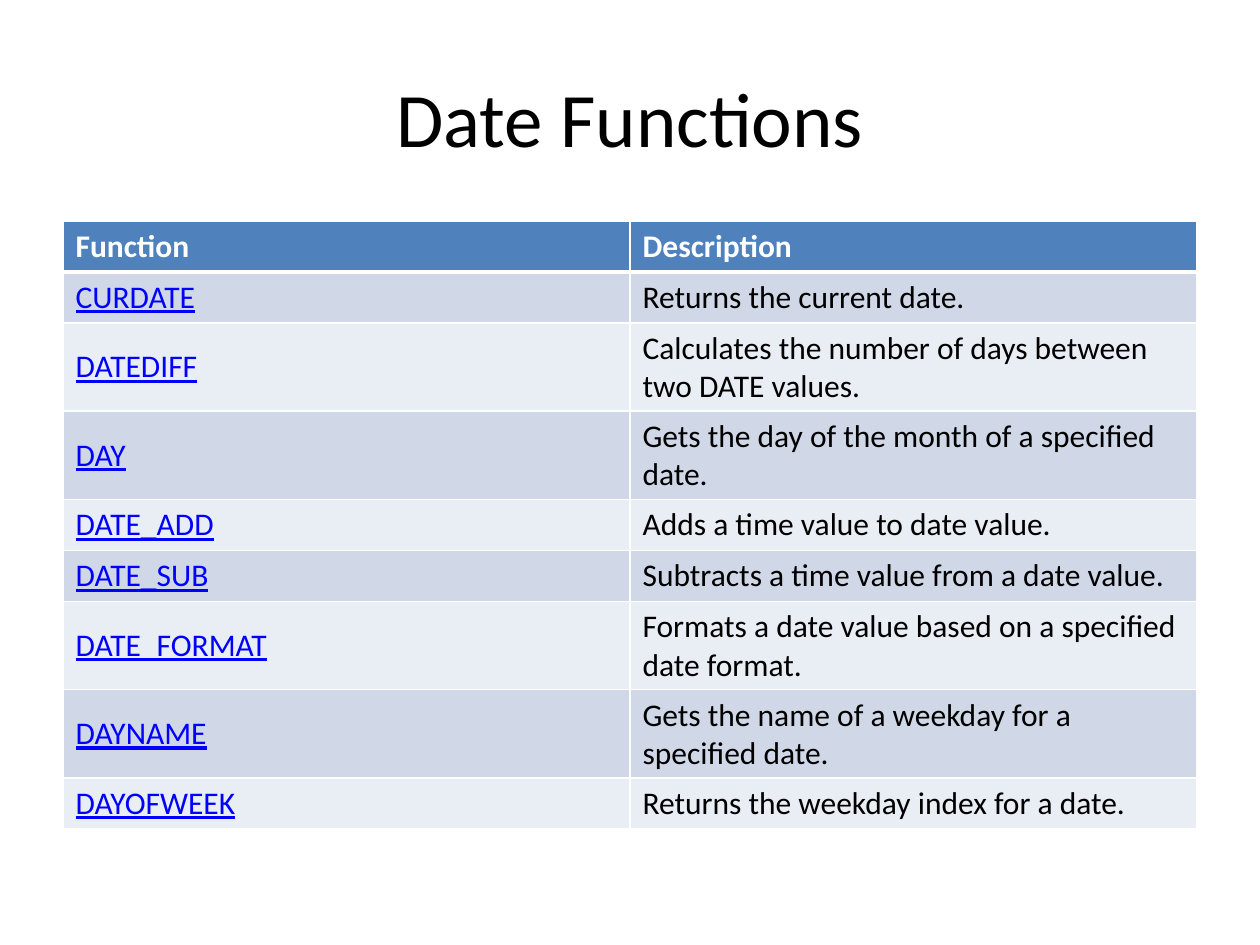
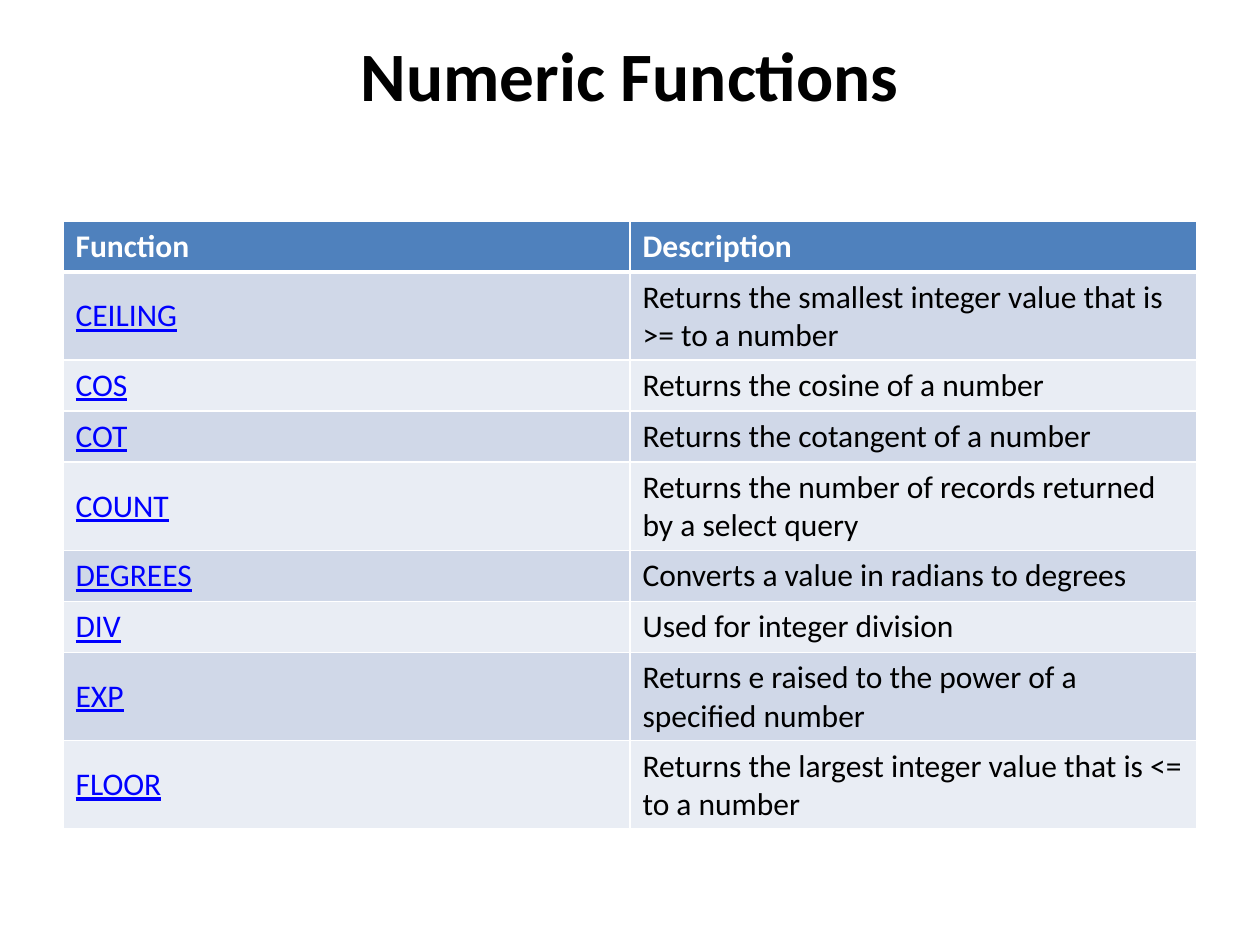
from lxml import etree
from pptx import Presentation
from pptx import util as u
from pptx.dml.color import RGBColor
from pptx.enum import text
from pptx.oxml.ns import qn

PX_PER_INCH = 126
FONT = "Calibri"
WHITE = RGBColor(0xFF, 0xFF, 0xFF)
BLACK = RGBColor(0x00, 0x00, 0x00)
LINK_BLUE = RGBColor(0x00, 0x00, 0xFF)
HEADER_BLUE = RGBColor(0x4F, 0x81, 0xBD)
BANDS = (RGBColor(0xD0, 0xD8, 0xE8), RGBColor(0xE9, 0xED, 0xF4))

# Boxes are left, top, width, height in px.
TITLE_BOX = (63, 38, 1134, 157)
RAISED_TITLE_BOX = (63, 32, 1134, 84)
TABLE_BOX = (63, 221, 1134, 459)

HEADINGS = ("Function", "Description")
DATE_FUNCTIONS = (
    ("CURDATE", "Returns the current date."),
    ("DATEDIFF", "Calculates the number of days between two DATE values."),
    ("DAY", "Gets the day of the month of a specified date."),
    ("DATE_ADD", "Adds a time value to date value."),
    ("DATE_SUB", "Subtracts a time value from a date value."),
    ("DATE_FORMAT", "Formats a date value based on a specified date format."),
    ("DAYNAME", "Gets the name of a weekday for a specified date."),
    ("DAYOFWEEK", "Returns the weekday index for a date."),
)
NUMERIC_FUNCTIONS = (
    ("CEILING", "Returns the smallest integer value that is >= to a number"),
    ("COS", "Returns the cosine of a number"),
    ("COT", "Returns the cotangent of a number"),
    ("COUNT", "Returns the number of records returned by a select query"),
    ("DEGREES", "Converts a value in radians to degrees"),
    ("DIV", "Used for integer division"),
    ("EXP", "Returns e raised to the power of a specified number"),
    ("FLOOR", "Returns the largest integer value that is <= to a number"),
)


def px(length):
    return u.Emu(round(length * u.Inches(1) / PX_PER_INCH))


def write(frame, words, size=18, color=BLACK, bold=False, underline=False,
          align=text.PP_ALIGN.LEFT):
    paragraph = frame.paragraphs[0]
    paragraph.alignment = align
    run = paragraph.add_run()
    run.text = words
    font = run.font
    font.name, font.size, font.bold = FONT, u.Pt(size), bold
    font.underline = underline
    font.color.rgb = color


def add_title(slide, box, words, size, bold):
    frame = slide.shapes.add_textbox(*map(px, box)).text_frame
    frame.word_wrap = True
    frame.margin_top = frame.margin_bottom = 0
    frame.vertical_anchor = text.MSO_ANCHOR.MIDDLE
    write(frame, words, size=size, bold=bold, align=text.PP_ALIGN.CENTER)


def set_borders(cell, top=1, bottom=1):
    """Draw white borders; widths are in points."""
    properties = cell._tc.get_or_add_tcPr()
    widths = {"a:lnL": 1, "a:lnR": 1, "a:lnT": top, "a:lnB": bottom}
    for position, (tag, width) in enumerate(widths.items()):
        line = etree.Element(qn(tag), w=str(u.Pt(width)))
        fill = etree.SubElement(line, qn("a:solidFill"))
        etree.SubElement(fill, qn("a:srgbClr"), val=str(WHITE))
        properties.insert(position, line)


def add_function_table(slide, box, functions):
    rows = (HEADINGS, *functions)
    table = slide.shapes.add_table(len(rows), len(HEADINGS), *map(px, box)).table
    table.first_row = table.horz_banding = False
    for row, entries in enumerate(rows):
        for column, words in enumerate(entries):
            cell = table.cell(row, column)
            cell.vertical_anchor = text.MSO_ANCHOR.MIDDLE
            cell.fill.solid()
            if row == 0:
                cell.fill.fore_color.rgb = HEADER_BLUE
                write(cell.text_frame, words, color=WHITE, bold=True)
            else:
                is_name = column == 0
                cell.fill.fore_color.rgb = BANDS[(row - 1) % 2]
                write(cell.text_frame, words, underline=is_name,
                      color=LINK_BLUE if is_name else BLACK)
            set_borders(cell, top=3 if row == 1 else 1,
                        bottom=3 if row == 0 else 1)


def add_function_slide(presentation, title, functions, title_box=TITLE_BOX,
                       title_size=44, title_bold=False):
    slide = presentation.slides.add_slide(presentation.slide_layouts[6])
    add_title(slide, title_box, title, title_size, title_bold)
    add_function_table(slide, TABLE_BOX, functions)


def main():
    presentation = Presentation()
    presentation.slide_width = px(1260)
    presentation.slide_height = px(945)
    add_function_slide(presentation, "Date Functions", DATE_FUNCTIONS)
    add_function_slide(presentation, "Numeric Functions", NUMERIC_FUNCTIONS,
                       title_box=RAISED_TITLE_BOX, title_size=39.6,
                       title_bold=True)
    presentation.save("out.pptx")


if __name__ == "__main__":
    main()
